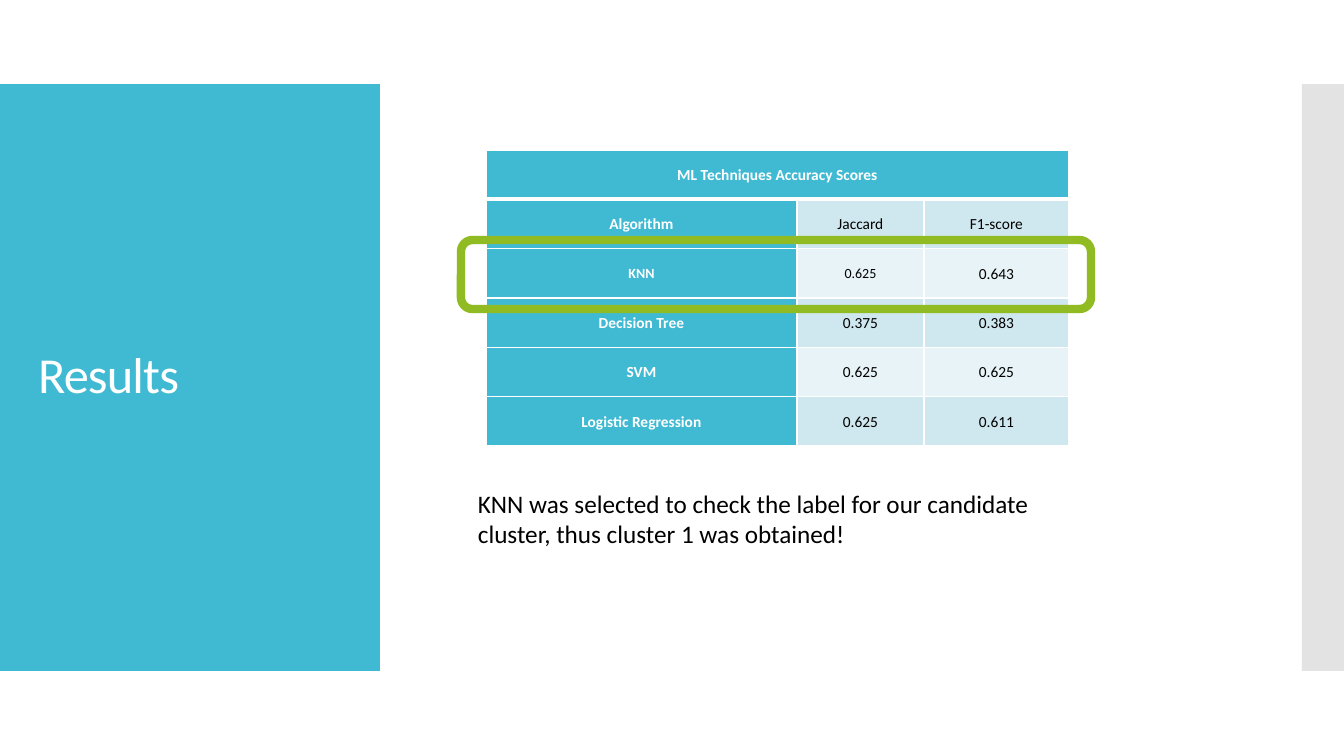
from lxml.etree import SubElement
from pptx import Presentation
from pptx.dml.color import RGBColor
from pptx.enum.shapes import MSO_SHAPE
from pptx.enum.text import MSO_ANCHOR, MSO_AUTO_SIZE, PP_ALIGN
from pptx.oxml.ns import qn
from pptx.util import Emu, Pt

EMU_PER_PX = 914400 / 100.8
FONT = "Calibri"

WHITE = RGBColor(0xFF, 0xFF, 0xFF)
BLACK = RGBColor(0x00, 0x00, 0x00)
TEAL = RGBColor(0x40, 0xBA, 0xD2)
GREY = RGBColor(0xC8, 0xC8, 0xC8)
GREEN = RGBColor(0x90, 0xBB, 0x23)
BANDS = [RGBColor(0xCF, 0xE7, 0xEE), RGBColor(0xE8, 0xF3, 0xF7)]

TABLE_TITLE = "ML Techniques Accuracy Scores"
SCORES = [
    ["Algorithm", "Jaccard", "F1-score"],
    ["KNN", "0.625", "0.643"],
    ["Decision Tree", "0.375", "0.383"],
    ["SVM", "0.625", "0.625"],
    ["Logistic Regression", "0.625", "0.611"],
]
COLUMN_WIDTHS = [311, 127, 145]
SMALL_CELLS = {(1, 0), (1, 1)}  # KNN and its Jaccard score are set smaller
CONCLUSION = ("KNN was selected to check the label for our candidate cluster, "
              "thus cluster 1 was obtained!")


def px(length):
    return Emu(round(length * EMU_PER_PX))


def write_text(text_frame, text, size, color, bold=False, align=PP_ALIGN.LEFT,
               line_spacing=1.0, tracking=None):
    paragraph = text_frame.paragraphs[0]
    paragraph.alignment = align
    paragraph.line_spacing = line_spacing
    run = paragraph.add_run()
    run.text = text
    run.font.name = FONT
    run.font.size = Pt(size)
    run.font.bold = bold
    run.font.color.rgb = color
    if tracking is not None:
        run.font._element.set("spc", str(tracking))


def add_panel(slide, left, top, width, height, color, opacity=100):
    panel = slide.shapes.add_shape(MSO_SHAPE.RECTANGLE, px(left), px(top),
                                   px(width), px(height))
    panel.shadow.inherit = False
    panel.line.fill.background()
    panel.fill.solid()
    panel.fill.fore_color.rgb = color
    if opacity < 100:
        color_element = panel._element.spPr.find(f".//{qn('a:srgbClr')}")
        SubElement(color_element, qn("a:alpha"), val=str(opacity * 1000))


def add_highlight(slide, left, top, width, height):
    frame = slide.shapes.add_shape(MSO_SHAPE.ROUNDED_RECTANGLE, px(left), px(top),
                                   px(width), px(height))
    frame.shadow.inherit = False
    frame.fill.background()
    frame.line.color.rgb = GREEN
    frame.line.width = Pt(6)


def add_title(slide, text, left, top, width, height):
    title = slide.shapes.title
    title.left, title.top = px(left), px(top)
    title.width, title.height = px(width), px(height)
    title.text_frame.auto_size = MSO_AUTO_SIZE.NONE
    title.text_frame.word_wrap = True
    title.text_frame.vertical_anchor = MSO_ANCHOR.MIDDLE
    write_text(title.text_frame, text, 36, WHITE, line_spacing=0.9, tracking=-60)


def add_note(slide, text, left, top, width, height):
    note = slide.shapes.add_textbox(px(left), px(top), px(width), px(height))
    note.text_frame.word_wrap = True
    write_text(note.text_frame, text, 18, BLACK)


def set_borders(cell, top=1, bottom=1):
    properties = cell._tc.get_or_add_tcPr()
    for side, points in (("L", 1), ("R", 1), ("T", top), ("B", bottom)):
        line = SubElement(properties, qn(f"a:ln{side}"), w=str(Pt(points)))
        fill = SubElement(line, qn("a:solidFill"))
        SubElement(fill, qn("a:srgbClr"), val=str(WHITE))


def format_cell(cell, text, fill, color, bold, size=11, **borders):
    set_borders(cell, **borders)  # borders must precede the fill in the XML
    cell.fill.solid()
    cell.fill.fore_color.rgb = fill
    cell.margin_left = cell.margin_right = px(7)
    cell.margin_top = cell.margin_bottom = 0
    cell.vertical_anchor = MSO_ANCHOR.MIDDLE
    if text:
        write_text(cell.text_frame, text, size, color, bold=bold,
                   align=PP_ALIGN.CENTER, line_spacing=1.07)


def add_score_table(slide, left, top, height):
    table = slide.shapes.add_table(
        len(SCORES) + 1, len(COLUMN_WIDTHS), px(left), px(top),
        px(sum(COLUMN_WIDTHS)), px(height)).table
    for column, width in zip(table.columns, COLUMN_WIDTHS):
        column.width = px(width)

    # Heading across all columns
    for index in range(len(COLUMN_WIDTHS)):
        format_cell(table.cell(0, index), "" if index else TABLE_TITLE,
                    TEAL, WHITE, True, bottom=3)
    table.cell(0, 0).merge(table.cell(0, len(COLUMN_WIDTHS) - 1))

    # Teal row labels, banded scores
    for row, values in enumerate(SCORES):
        for column, value in enumerate(values):
            is_label = column == 0
            format_cell(table.cell(row + 1, column), value,
                        TEAL if is_label else BANDS[row % 2],
                        WHITE if is_label else BLACK, is_label,
                        size=10 if (row, column) in SMALL_CELLS else 11,
                        top=1 if row else 3)


def main():
    presentation = Presentation()
    presentation.slide_width = px(1344)
    presentation.slide_height = px(756)
    slide = presentation.slides.add_slide(presentation.slide_layouts[5])

    # Side panels, with the title brought in front of them
    add_panel(slide, 0, 84, 380, 587, TEAL)
    add_panel(slide, 1302, 84, 42, 587, GREY, opacity=50)
    add_title(slide, "Results", 28, 124, 325, 507)
    slide.shapes._spTree.append(slide.shapes.title._element)

    # Scores, chosen algorithm and conclusion
    add_score_table(slide, 486, 150, 296)
    add_highlight(slide, 461, 240, 630, 69)
    add_note(slide, CONCLUSION, 468, 483, 624, 72)

    presentation.save("out.pptx")


if __name__ == "__main__":
    main()
